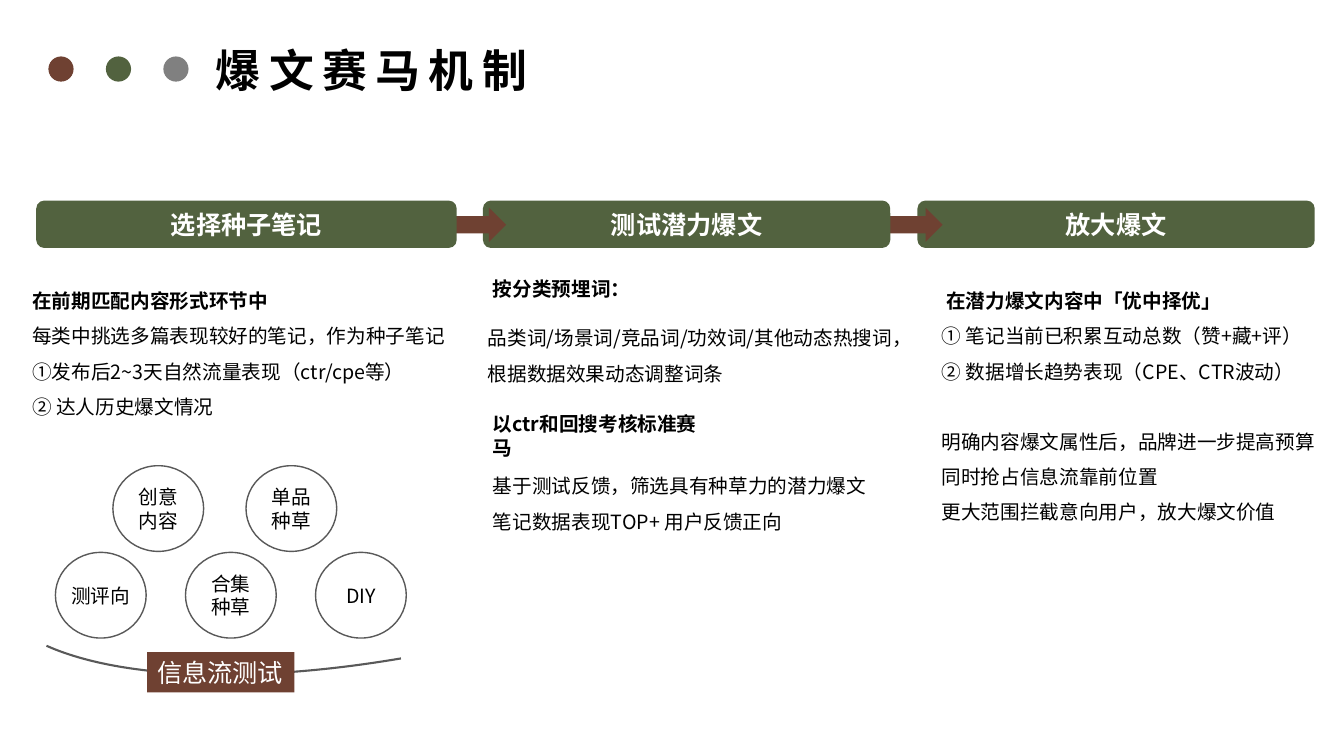
from dataclasses import dataclass
from lxml.etree import SubElement
from pptx import Presentation
from pptx.dml.color import RGBColor
from pptx.enum.shapes import MSO_SHAPE
from pptx.enum.text import MSO_ANCHOR, MSO_AUTO_SIZE, PP_ALIGN
from pptx.oxml.ns import qn
from pptx.util import Pt

PX = 9144


@dataclass(frozen=True)
class Theme:
    font: str = "Noto Sans CJK SC"
    brown: str = "6F4132"
    green: str = "52623F"
    gray: str = "808080"
    line: str = "595959"
    ink: str = "000000"
    white: str = "FFFFFF"
    title: int = 32
    step: int = 18
    body: int = 14


T = Theme()


def px(*lengths):
    return [n * PX for n in lengths]


def format_runs(p, size, color, bold=False, spacing=0):
    for r in p.runs:
        r.font.size = Pt(size)
        r.font.bold = bold
        r.font.color.rgb = RGBColor.from_string(color)
        r.font.name = T.font
        rPr = r.font._element
        SubElement(rPr, qn("a:ea")).set("typeface", T.font)
        if spacing:
            rPr.set("spc", str(spacing * 100))


def write(sp, text, size, color, bold=False, align=PP_ALIGN.LEFT,
          anchor=MSO_ANCHOR.TOP, wrap=True, spacing=0):
    tf = sp.text_frame
    tf.text = text
    tf.word_wrap = wrap
    tf.auto_size = MSO_AUTO_SIZE.NONE
    tf.vertical_anchor = anchor
    for p in tf.paragraphs:
        p.alignment = align
        format_runs(p, size, color, bold, spacing)
    return tf


def add_shape(s, kind, box, fill=None, line=None, width=1):
    sp = s.shapes.add_shape(kind, *px(*box))
    sp.shadow.inherit = False
    if fill:
        sp.fill.solid()
        sp.fill.fore_color.rgb = RGBColor.from_string(fill)
    else:
        sp.fill.background()
    if line:
        sp.line.color.rgb = RGBColor.from_string(line)
        sp.line.width = Pt(width)
    else:
        sp.line.fill.background()
    return sp


def place(sp, box):
    sp.left, sp.top, sp.width, sp.height = px(*box)


def add_title(s, text):
    place(s.shapes.title, (204, 37, 635, 64))
    write(s.shapes.title, text, T.title, T.ink, bold=True, spacing=6)


def fill_list(sp, box, lines, gap_before=None):
    place(sp, box)
    tf = write(sp, "\n".join(lines), T.body, T.ink)
    for i, p in enumerate(tf.paragraphs):
        p.line_spacing = 1.5
        p.space_before = Pt(25 if i == gap_before else 0)
        pPr = p._p.get_or_add_pPr()
        pPr.set("marL", "0")
        pPr.set("indent", "0")
        SubElement(pPr, qn("a:buNone"))
    for r in tf.paragraphs[0].runs:
        r.font.bold = True


def add_text(s, box, text, bold=False, line_spacing=None):
    tf = write(s.shapes.add_textbox(*px(*box)), text, T.body, T.ink, bold)
    for p in tf.paragraphs:
        p.line_spacing = line_spacing


def add_step(s, left, width, text):
    sp = add_shape(s, MSO_SHAPE.ROUNDED_RECTANGLE, (left, 199, width, 47), T.green)
    write(sp, text, T.step, T.white, True, PP_ALIGN.CENTER, MSO_ANCHOR.MIDDLE)


def add_steps(s):
    add_step(s, 910, 394, "放大爆文")
    for arrow, left, width, text in (
        (872, 479, 404, "测试潜力爆文"),
        (439, 36, 417, "选择种子笔记"),
    ):
        add_shape(s, MSO_SHAPE.RIGHT_ARROW, (arrow, 206, 63, 34), T.brown)
        add_step(s, left, width, text)


def add_bubbles(s, left, top, pitch, labels):
    for i, label in enumerate(labels):
        sp = add_shape(s, MSO_SHAPE.OVAL, (left + i * pitch, top, 90, 85), line=T.line)
        tf = write(sp, label, T.body, T.ink, align=PP_ALIGN.CENTER, anchor=MSO_ANCHOR.MIDDLE)
        tf.margin_left = tf.margin_right = tf.margin_top = tf.margin_bottom = 0


def add_feed_test(s):
    add_bubbles(s, 112, 462, 132, ("创意\n内容", "单品\n种草"))
    add_bubbles(s, 55, 548, 129, ("测评向", "合集\n种草", "DIY"))
    arc = add_shape(s, MSO_SHAPE.ARC, (-28, 292, 961, 346), line=T.line, width=1.5)
    arc.adjustments[0] = 180.16
    arc.adjustments[1] = 210.38
    arc.rotation = 166
    tag = add_shape(s, MSO_SHAPE.RECTANGLE, (146, 647, 146, 40), T.brown)
    write(tag, "信息流测试", T.step, T.white, anchor=MSO_ANCHOR.MIDDLE, wrap=False)


def main():
    prs = Presentation()
    prs.slide_width, prs.slide_height = px(1333, 750)
    s = prs.slides.add_slide(prs.slide_layouts[3])

    add_title(s, "爆文赛马机制")
    for i, color in enumerate((T.brown, T.green, T.gray)):
        add_shape(s, MSO_SHAPE.OVAL, (48 + i * 57, 56, 25, 25), color)

    add_feed_test(s)
    add_steps(s)

    fill_list(s.placeholders[1], (22, 270, 444, 151), (
        "在前期匹配内容形式环节中",
        "每类中挑选多篇表现较好的笔记，作为种子笔记",
        "①发布后2~3天自然流量表现（ctr/cpe等）",
        "② 达人历史爆文情况",
    ))
    add_text(s, (479, 270, 160, 34), "按分类预埋词：", bold=True)
    add_text(s, (474, 307, 426, 81),
             "品类词/场景词/竞品词/功效词/其他动态热搜词，根据数据效果动态调整词条",
             line_spacing=1.5)
    add_text(s, (479, 404, 236, 34), "以ctr和回搜考核标准赛马", bold=True)
    add_text(s, (479, 454, 444, 81),
             "基于测试反馈，筛选具有种草力的潜力爆文\n笔记数据表现TOP+ 用户反馈正向",
             line_spacing=1.5)
    fill_list(s.placeholders[2], (924, 270, 444, 257), (
        " 在潜力爆文内容中「优中择优」",
        "① 笔记当前已积累互动总数（赞+藏+评）",
        "② 数据增长趋势表现（CPE、CTR波动）",
        "明确内容爆文属性后，品牌进一步提高预算",
        "同时抢占信息流靠前位置",
        "更大范围拦截意向用户，放大爆文价值",
    ), gap_before=3)

    prs.save("out.pptx")


if __name__ == "__main__":
    main()
